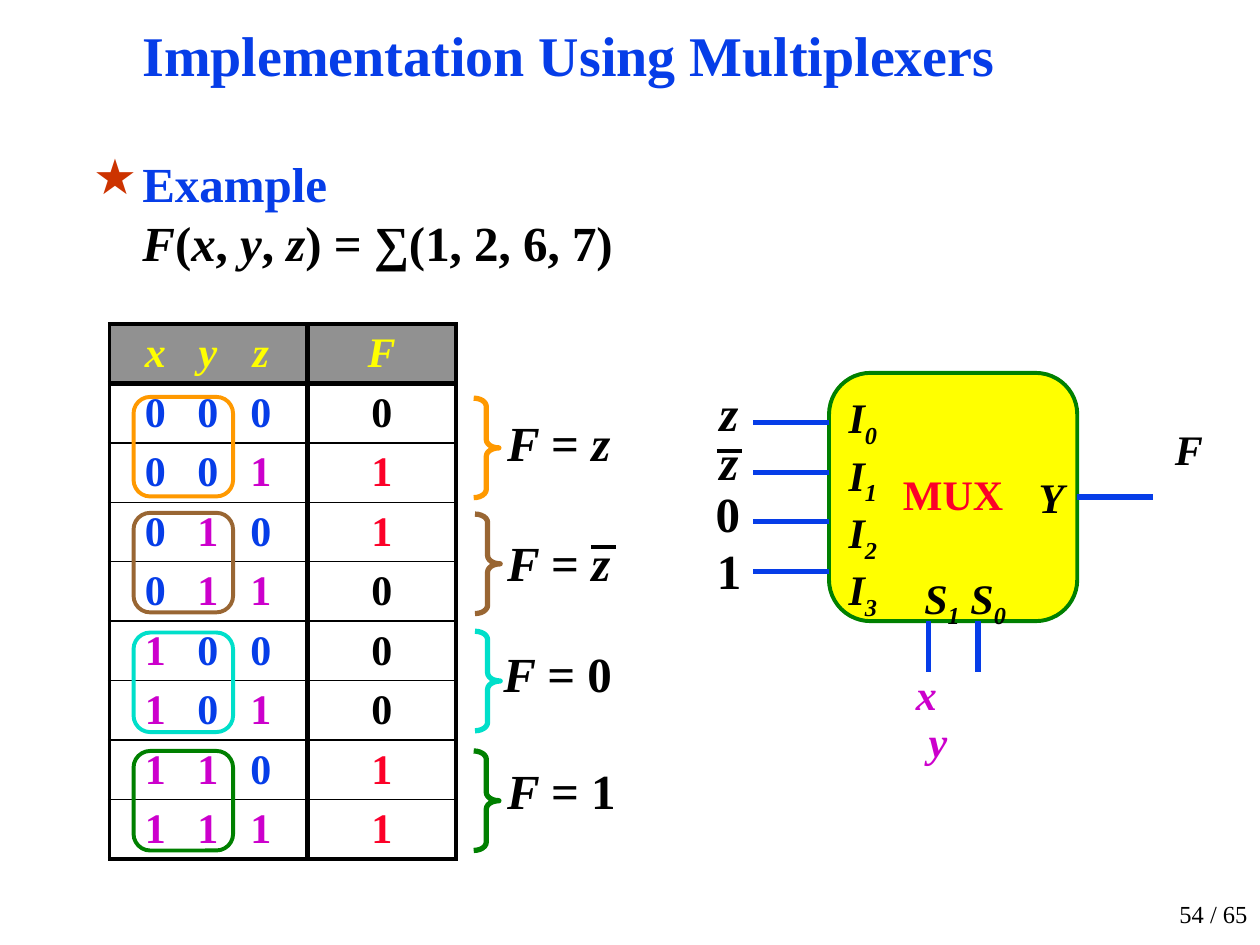
"""Build the slide on implementing a function with a multiplexer."""
from dataclasses import dataclass
from typing import Optional

from lxml.etree import SubElement
from pptx import Presentation
from pptx.dml.color import RGBColor
from pptx.enum.shapes import MSO_CONNECTOR as Link, MSO_SHAPE as Shape
from pptx.enum.text import MSO_ANCHOR as Anchor, PP_ALIGN as Align
from pptx.oxml.ns import qn
from pptx.util import Inches, Pt


@dataclass(frozen=True)
class Theme:
    font: str = "Times New Roman"
    blue: str = "063DE8"
    black: str = "000000"
    red: str = "FC0128"
    purple: str = "CC00CC"
    yellow: str = "FFFF00"
    green: str = "008000"
    gray: str = "919191"
    star: str = "CC3300"
    orange: str = "FF9900"
    brown: str = "996633"
    teal: str = "00DFCA"
    title: int = 32
    body: int = 28
    label: int = 24
    footer: int = 14
    thin: float = 1
    medium: float = 2.25
    thick: float = 3


@dataclass(frozen=True)
class Span:
    text: str
    italic: bool = False
    color: Optional[str] = None
    subscript: bool = False


class SlideBuilder:
    def __init__(self, slide, theme):
        self.slide, self.theme = slide, theme

    def set_lines(self, frame, lines, size, color=None, align=Align.CENTER, spacing=None, bold=True):
        for index, spans in enumerate(lines):
            para = frame.paragraphs[0] if index == 0 else frame.add_paragraph()
            para.alignment = align
            if spacing:
                para.line_spacing = spacing
            for span in spans:
                if span.text == "\v":
                    para.add_line_break()
                    continue
                run = para.add_run()
                run.text = span.text
                font = run.font
                font.name, font.size = self.theme.font, Pt(size)
                font.bold, font.italic = bold, span.italic
                font.color.rgb = RGBColor.from_string(span.color or color or self.theme.black)
                if span.subscript:
                    run._r.get_or_add_rPr().set("baseline", "-25000")

    def text(self, at, lines, size, color=None, margins=(0, 0), wrap=True, anchor=Anchor.TOP, **style):
        box = self.slide.shapes.add_textbox(*map(Inches, at))
        frame = box.text_frame
        frame.word_wrap, frame.vertical_anchor = wrap, anchor
        frame.margin_left = frame.margin_right = Inches(margins[0])
        frame.margin_top = frame.margin_bottom = Inches(margins[1])
        self.set_lines(frame, lines, size, color, **style)
        return box

    def label(self, at, spans):
        return self.text(at, [spans], self.theme.body, wrap=False, spacing=0.9)

    def shape(self, kind, at, line, width, adjustments, fill=None):
        shape = self.slide.shapes.add_shape(kind, *map(Inches, at))
        shape.shadow.inherit = False
        if fill:
            shape.fill.solid()
            shape.fill.fore_color.rgb = RGBColor.from_string(fill)
        else:
            shape.fill.background()
        shape.line.color.rgb = RGBColor.from_string(line)
        shape.line.width = Pt(width)
        for index, value in enumerate(adjustments):
            shape.adjustments[index] = value
        return shape

    def line(self, start, end, color, width):
        link = self.slide.shapes.add_connector(Link.STRAIGHT, *map(Inches, start + end))
        link.line.color.rgb = RGBColor.from_string(color)
        link.line.width = Pt(width)
        SubElement(link._element.spPr, qn("a:effectLst"))
        return link

    def bullet(self, para, char, color, indent):
        props = para._p.get_or_add_pPr()
        props.set("marL", str(Inches(indent)))
        props.set("indent", str(-Inches(indent)))
        SubElement(SubElement(props, qn("a:buClr")), qn("a:srgbClr"), val=color)
        SubElement(props, qn("a:buChar"), char=char)

    def tabs(self, para, stops):
        tab_list = SubElement(para._p.get_or_add_pPr(), qn("a:tabLst"))
        for stop in stops:
            SubElement(tab_list, qn("a:tab"), pos=str(Inches(stop)), algn="ctr")

    def borders(self, cell, widths):
        props = cell._tc.get_or_add_tcPr()
        for index, (side, width) in enumerate(zip(("lnL", "lnR", "lnT", "lnB"), widths)):
            edge = props.makeelement(qn(f"a:{side}"), {"w": str(Pt(width))})
            fill = SubElement(edge, qn("a:solidFill"))
            SubElement(fill, qn("a:srgbClr"), val=self.theme.black)
            props.insert(index, edge)

    def truth_table(self, at, column_widths, row_height, rows):
        theme = self.theme
        left, top = at
        table = self.slide.shapes.add_table(
            len(rows), 2, Inches(left), Inches(top),
            Inches(sum(column_widths)), Inches(row_height * len(rows))).table
        table.first_row = table.horz_banding = False
        for column, width in zip(table.columns, column_widths):
            column.width = Inches(width)
        levels = [theme.medium, theme.thick] + [theme.thin] * (len(rows) - 2) + [theme.medium]
        sides = [theme.medium, theme.thick, theme.medium]
        for row, contents in enumerate(rows):
            table.rows[row].height = Inches(row_height)
            for column, spans in enumerate(contents):
                cell = table.cell(row, column)
                cell.vertical_anchor = Anchor.MIDDLE
                cell.margin_left = Inches(0 if column else 0.28)
                cell.margin_right = cell.margin_top = cell.margin_bottom = 0
                if row == 0:
                    cell.fill.solid()
                    cell.fill.fore_color.rgb = RGBColor.from_string(theme.gray)
                else:
                    cell.fill.background()
                self.borders(cell, (*sides[column:column + 2], *levels[row:row + 2]))
                if column == 0:
                    self.tabs(cell.text_frame.paragraphs[0], (0.5, 0.92))
                self.set_lines(cell.text_frame, [spans], theme.label,
                               align=Align.CENTER if column else Align.LEFT)


def table_rows(theme):
    """Return the header and the eight rows of the truth table."""
    rows = [([Span("x\ty\tz", True, theme.yellow)], [Span("F", True, theme.yellow)])]
    for number in range(8):
        inputs = [Span(("\t" if place else "") + bit, color=theme.purple if bit == "1" else theme.blue)
                  for place, bit in enumerate(f"{number:03b}")]
        on = number in (1, 2, 6, 7)
        rows.append((inputs, [Span("1" if on else "0", color=theme.red if on else theme.black)]))
    return rows


def draw_mux(builder):
    """Draw the multiplexer with its pins and labels."""
    theme = builder.theme
    left, top, side = 6.58, 2.96, 1.97
    step = side / 5
    mux = builder.shape(Shape.ROUNDED_RECTANGLE, (left, top, side, side), theme.green,
                        theme.medium, [0.167], theme.yellow)
    mux.text_frame.word_wrap = False
    mux.text_frame.vertical_anchor = Anchor.MIDDLE
    builder.set_lines(mux.text_frame, [[Span("MUX")]], theme.label, theme.red, spacing=0.9)
    for pin in range(1, 5):
        level = top + pin * step
        builder.line((left - 0.6, level), (left, level), theme.blue, theme.thick)
    for pin in (2, 3):
        across = left + pin * step
        builder.line((across, top + side + 0.4), (across, top + side), theme.blue, theme.thick)
    middle = top + side / 2
    output = builder.line((left + side, middle), (left + side + 0.6, middle), theme.blue, theme.thick)
    output.begin_connect(mux, 3)
    inputs = [[Span("I", True), Span(str(pin), True, subscript=True)] for pin in range(4)]
    builder.text((6.57, 3.11, 0.39, 1.6), inputs, theme.label, align=Align.RIGHT)
    selects = [Span("S", True), Span("1", True, subscript=True),
               Span(" S", True), Span("0", True, subscript=True)]
    builder.text((7.17, 4.54, 0.98, 0.4), [selects], theme.label)
    builder.text((8.15, 3.74, 0.39, 0.4), [[Span("Y", True)]], theme.label)
    builder.text((9.14, 3.36, 0.59, 0.4), [[Span("F", True)]], theme.label)
    select_box = builder.text((7.27, 5.34, 0.56, 0.72), [[Span("x", True)], [Span("y", True)]],
                              theme.label, theme.purple, align=Align.LEFT, spacing=0.93)
    select_box.text_frame.paragraphs[1]._p.get_or_add_pPr().set("marL", str(Inches(0.1)))


def main():
    """Assemble and save the deck."""
    deck = Presentation()
    deck.slide_width, deck.slide_height = Inches(10), Inches(7.5)
    theme = Theme()
    builder = SlideBuilder(deck.slides.add_slide(deck.slide_layouts[6]), theme)
    builder.text((8.69, 7.1, 1.31, 0.32), [[Span("54 / 65")]], theme.footer, margins=(0.1, 0.05),
                 anchor=Anchor.BOTTOM, align=Align.RIGHT, bold=False)
    builder.text((1.06, 0.21, 8.66, 0.52), [[Span("Implementation Using Multiplexers")]], theme.title,
                 theme.blue, margins=(0.07, 0.03), align=Align.LEFT, spacing=0.87)
    formula = [Span(part, part in "Fxyz") for part in ("F", "(", "x", ", ", "y", ", ", "z", ") = ∑(1, 2, 6, 7)")]
    body = builder.text((0.67, 1.19, 9.06, 0.99), [[Span("Example", color=theme.blue), Span("\v"), *formula]],
                        theme.body, margins=(0.07, 0.03), align=Align.LEFT)
    builder.bullet(body.text_frame.paragraphs[0], "★", theme.star, 0.39)
    draw_mux(builder)
    builder.truth_table((0.87, 2.57), (1.57, 1.18), 4.25 / 9, table_rows(theme))

    groups = [(theme.orange, "z", 3.15, 3.76, 3.16, 4.02, 3.33, 5.71, 3.09),
              (theme.brown, "z", 4.07, 3.77, 4.08, 4.02, 4.28, 5.71, 3.48),
              (theme.teal, "0", 5.02, 3.77, 5.01, 3.99, 5.16, 5.68, 3.89),
              (theme.green, "1", 5.96, 3.76, 5.96, 4.02, 6.09, 5.69, 4.34)]
    for color, value, ring_top, brace_left, brace_top, left, top, input_left, input_top in groups:
        result = Span(value, value == "z")
        builder.shape(Shape.ROUNDED_RECTANGLE, (1.06, ring_top, 0.79, 0.79), color, theme.medium, [0.167])
        builder.shape(Shape.RIGHT_BRACE, (brace_left, brace_top, 0.2, 0.79), color, theme.thick, [0.331, 0.5])
        builder.label((left, top, 0.83 if result.italic else 0.87, 0.42), [Span("F ", True), Span("= "), result])
        builder.label((input_left, input_top, 0.15 if result.italic else 0.19, 0.42), [result])
    for left, level in ((4.69, 4.34), (5.69, 3.58)):
        builder.line((left, level), (left + 0.2, level), theme.black, theme.medium)
    deck.save("out.pptx")


if __name__ == "__main__":
    main()
